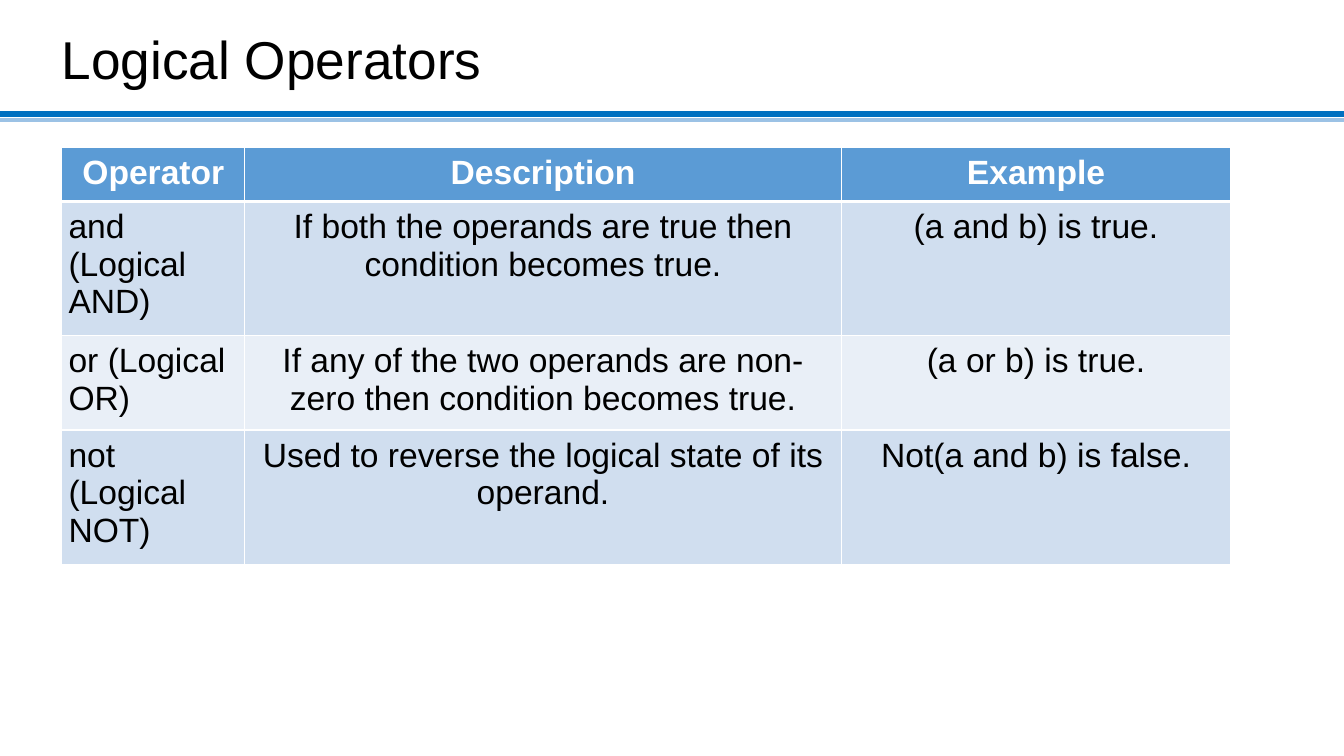
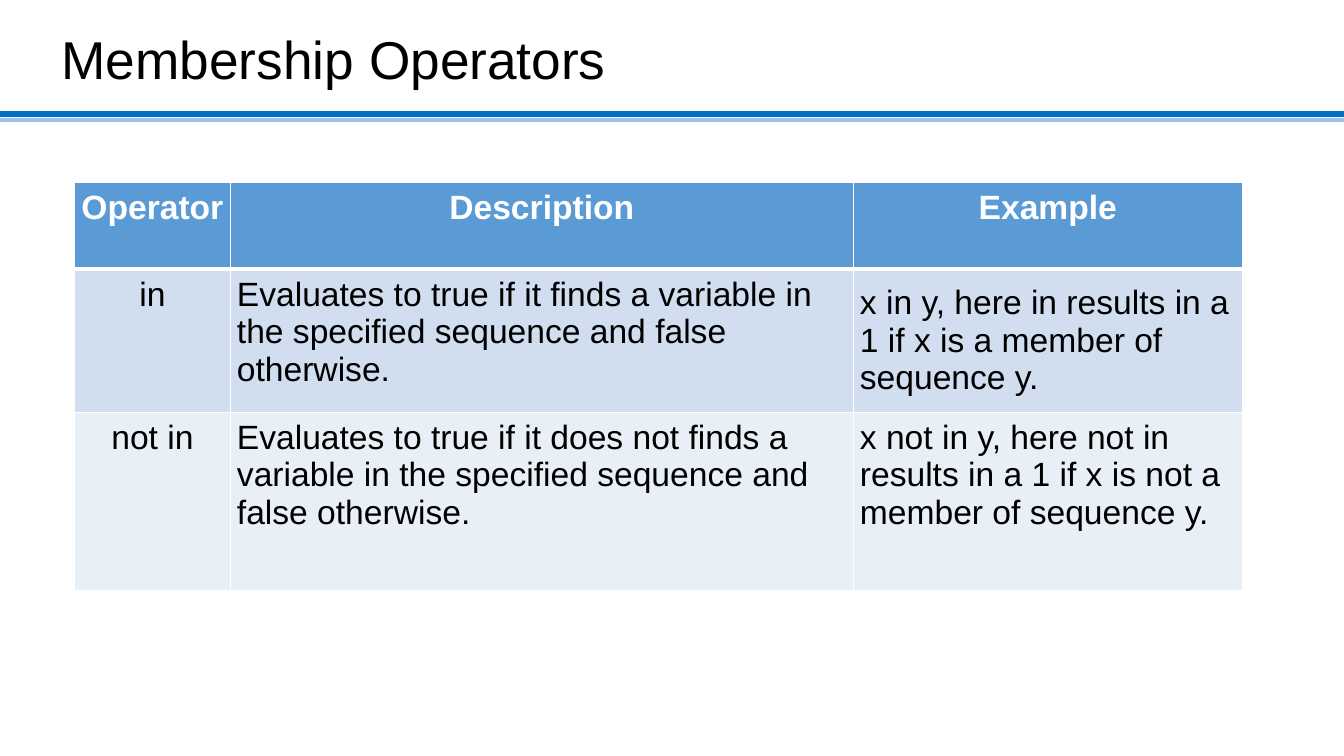
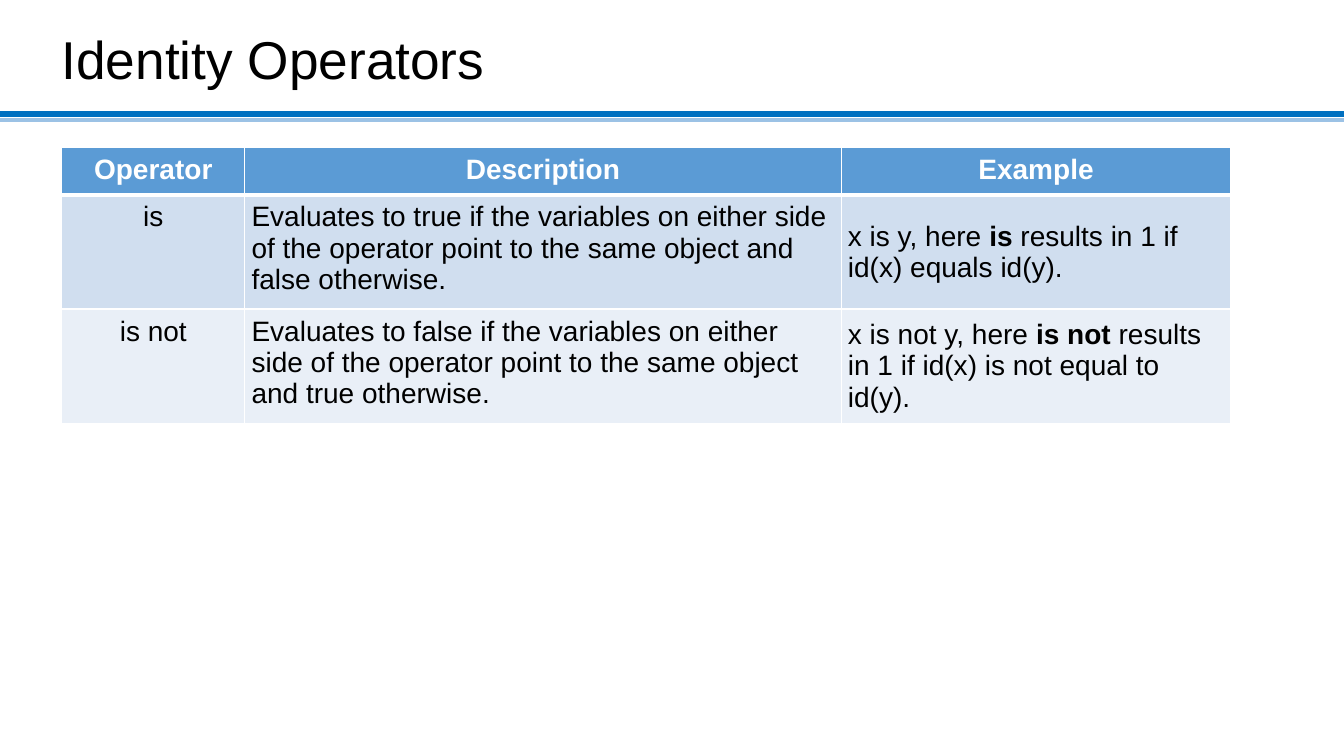
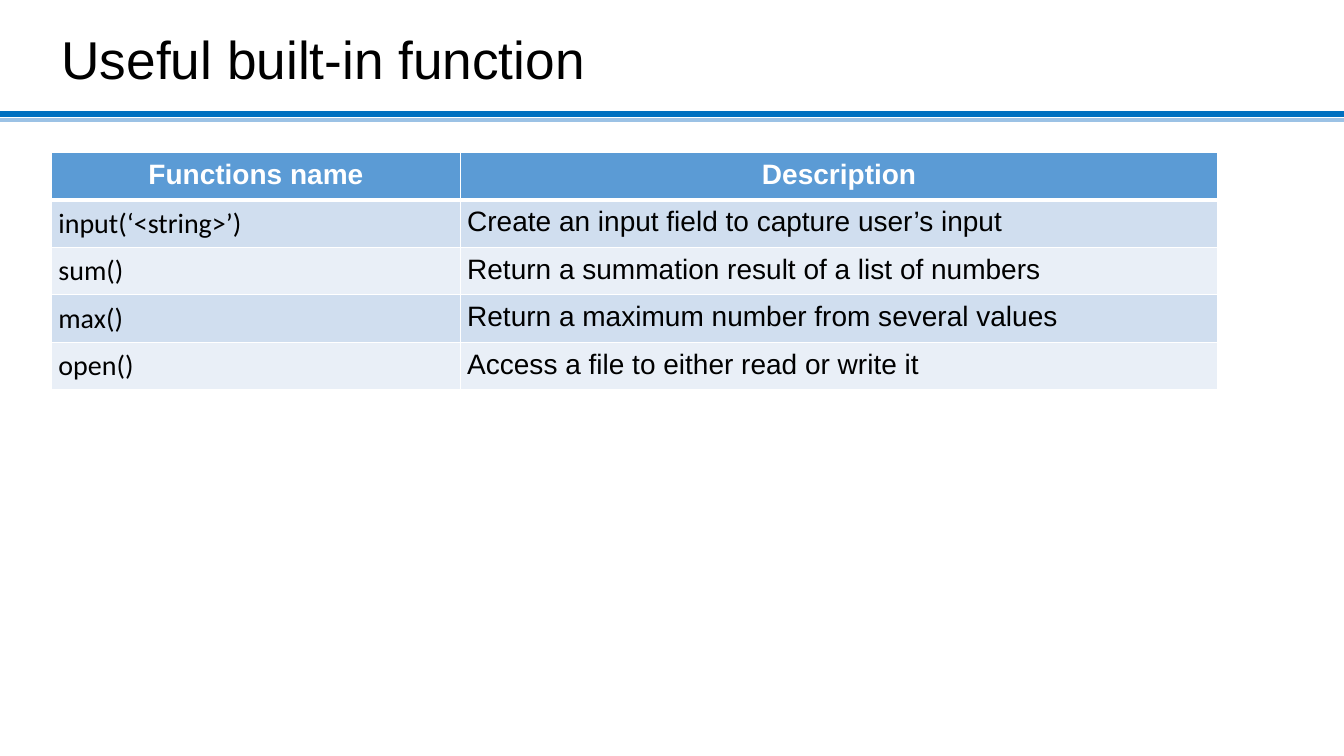
from dataclasses import dataclass
from lxml.etree import SubElement as Sub
from pptx import Presentation
from pptx.dml.color import RGBColor as Rgb
from pptx.enum.shapes import MSO_CONNECTOR as Conn
from pptx.enum.text import MSO_ANCHOR as Anchor, PP_ALIGN as Align
from pptx.oxml.ns import qn
from pptx.util import Pt


@dataclass(frozen=True)
class Theme:
    """Colours, fonts and sizes of the deck."""
    ink: str = "000000"
    paper: str = "FFFFFF"
    head: str = "5B9BD5"
    bands: tuple = ("D0DEEF", "E9EFF7")
    rules: tuple = ((85.7, "9CC2E5", 2.25), (81.4, "0070C0", 4.5))
    font: str = "Arial"
    code: str = "Calibri"
    title: float = 38
    large: float = 24
    small: float = 20
    inset: float = 4.8
    thin: float = 1
    thick: float = 3


@dataclass(frozen=True)
class Grid:
    """Place, measures and column styles of a table."""
    left: float
    top: float
    cols: tuple
    rows: tuple
    size: float
    aligns: str
    fonts: tuple
    middle: tuple = ()


T = Theme()
SIDES = {"l": Align.LEFT, "c": Align.CENTER}


def add_run(para, text, size, font, color, bold=False):
    """Add one styled run to a paragraph."""
    run = para.add_run()
    run.text = text
    run.font.size, run.font.name, run.font.bold = Pt(size), font, bold
    run.font.color.rgb = Rgb.from_string(color)


def add_rules(slide, left, right):
    """Draw the double rule under the title."""
    for y, color, width in T.rules:
        rule = slide.shapes.add_connector(Conn.STRAIGHT, Pt(left), Pt(y), Pt(right), Pt(y))
        rule.line.color.rgb = Rgb.from_string(color)
        rule.line.width = Pt(width)
        Sub(rule._element.spPr, qn("a:effectLst"))


def add_title(slide, text, left, top, width, height):
    """Write the title at the foot of its box."""
    frame = slide.shapes.add_textbox(Pt(left), Pt(top), Pt(width), Pt(height)).text_frame
    frame.word_wrap = True
    frame.vertical_anchor = Anchor.BOTTOM
    para = frame.paragraphs[0]
    para.line_spacing = 0.9
    add_run(para, text, T.title, T.font, T.ink)


def add_edges(cell, row):
    """Give a cell its borders, heavy beneath the header."""
    props = cell._tc.get_or_add_tcPr()
    heavy = {0: "lnB", 1: "lnT"}.get(row)
    for side in ("lnL", "lnR", "lnT", "lnB"):
        width = T.thick if side == heavy else T.thin
        line = Sub(props, qn("a:" + side), w=str(Pt(width)))
        Sub(Sub(line, qn("a:solidFill")), qn("a:srgbClr"), val=T.paper)


def fill_cell(cell, text, row, col, grid):
    """Style a cell; double stars in the text mark bold words."""
    head = row == 0
    add_edges(cell, row)
    cell.fill.solid()
    cell.fill.fore_color.rgb = Rgb.from_string(T.head if head else T.bands[(row - 1) % 2])
    cell.margin_left = cell.margin_right = Pt(T.inset)
    cell.margin_top = cell.margin_bottom = Pt(T.inset)
    cell.vertical_anchor = Anchor.MIDDLE if (row, col) in grid.middle else Anchor.TOP
    para = cell.text_frame.paragraphs[0]
    para.alignment = Align.CENTER if head else SIDES[grid.aligns[col]]
    font, color = (T.font, T.paper) if head else (grid.fonts[col], T.ink)
    for part, words in enumerate(text.split("**")):
        add_run(para, words, grid.size, font, color, head or part % 2 == 1)


def add_grid(slide, grid, data):
    """Build a table from rows of text."""
    table = slide.shapes.add_table(
        len(grid.rows), len(grid.cols), Pt(grid.left), Pt(grid.top),
        Pt(sum(grid.cols)), Pt(sum(grid.rows))).table
    for col, width in enumerate(grid.cols):
        table.columns[col].width = Pt(width)
    for row, height in enumerate(grid.rows):
        table.rows[row].height = Pt(height)
        for col, text in enumerate(data[row]):
            fill_cell(table.cell(row, col), text, row, col, grid)


def add_page(deck, title, grid, data):
    """Add a slide with its title, rules and table."""
    slide = deck.slides.add_slide(deck.slide_layouts[6])
    add_rules(slide, -0.5, 960)
    add_title(slide, title, 36.9, 20, 654, 48.5)
    add_grid(slide, grid, data)


HEAD = ("Operator", "Description", "Example")
WIDE = (130.7, 426, 278.4)
SANS = (T.font,) * 3

PAGES = [
    ("Logical Operators",
     Grid(44.2, 105.5, WIDE, (35.8, 90, 63, 90), T.large, "lcc", SANS),
     [HEAD,
      ("and (Logical AND)", "If both the operands are true then condition becomes true.",
       "(a and b) is true."),
      ("or (Logical OR)",
       "If any of the two operands are non-zero then condition becomes true.",
       "(a or b) is true."),
      ("not (Logical NOT)", "Used to reverse the logical state of its operand.",
       "Not(a and b) is false.")]),
    ("Membership Operators",
     Grid(53.3, 130.4, (111.2, 445, 278), (61.9, 102.2, 127.4), T.large, "cll", SANS,
          ((1, 2),)),
     [HEAD,
      ("in",
       "Evaluates to true if it finds a variable in the specified sequence "
       "and false otherwise.",
       "x in y, here in results in a 1 if x is a member of sequence y."),
      ("not in",
       "Evaluates to true if it does not finds a variable in the specified sequence "
       "and false otherwise.",
       "x not in y, here not in results in a 1 if x is not a member of sequence y.")]),
    ("Identity Operators",
     Grid(44.2, 105.5, WIDE, (31.5, 76.5, 76.5), T.small, "cll", SANS,
          ((1, 2), (2, 2))),
     [HEAD,
      ("is",
       "Evaluates to true if the variables on either side of the operator point to "
       "the same object and false otherwise.",
       "x is y, here\u00a0**is**\u00a0results in 1 if id(x) equals id(y)."),
      ("is not",
       "Evaluates to false if the variables on either side of the operator point to "
       "the same object and true otherwise.",
       "x is not y, here\u00a0**is not**\u00a0results in 1 if id(x) is not equal to "
       "id(y).")]),
    ("Useful built-in function",
     Grid(36.9, 109, (292, 541), (31.5,) + (34,) * 4, T.small, "ll", (T.code, T.font)),
     [("Functions name", "Description"),
      ("input(‘<string>’)", "Create an input field to capture user’s input"),
      ("sum()", "Return a summation result of a list of numbers"),
      ("max()", "Return a maximum number from several values"),
      ("open()", "Access a file to either read or write it")]),
]


def main():
    """Build and save the deck."""
    deck = Presentation()
    deck.slide_width, deck.slide_height = Pt(960), Pt(540)
    for title, grid, data in PAGES:
        add_page(deck, title, grid, data)
    deck.save("out.pptx")


main()
